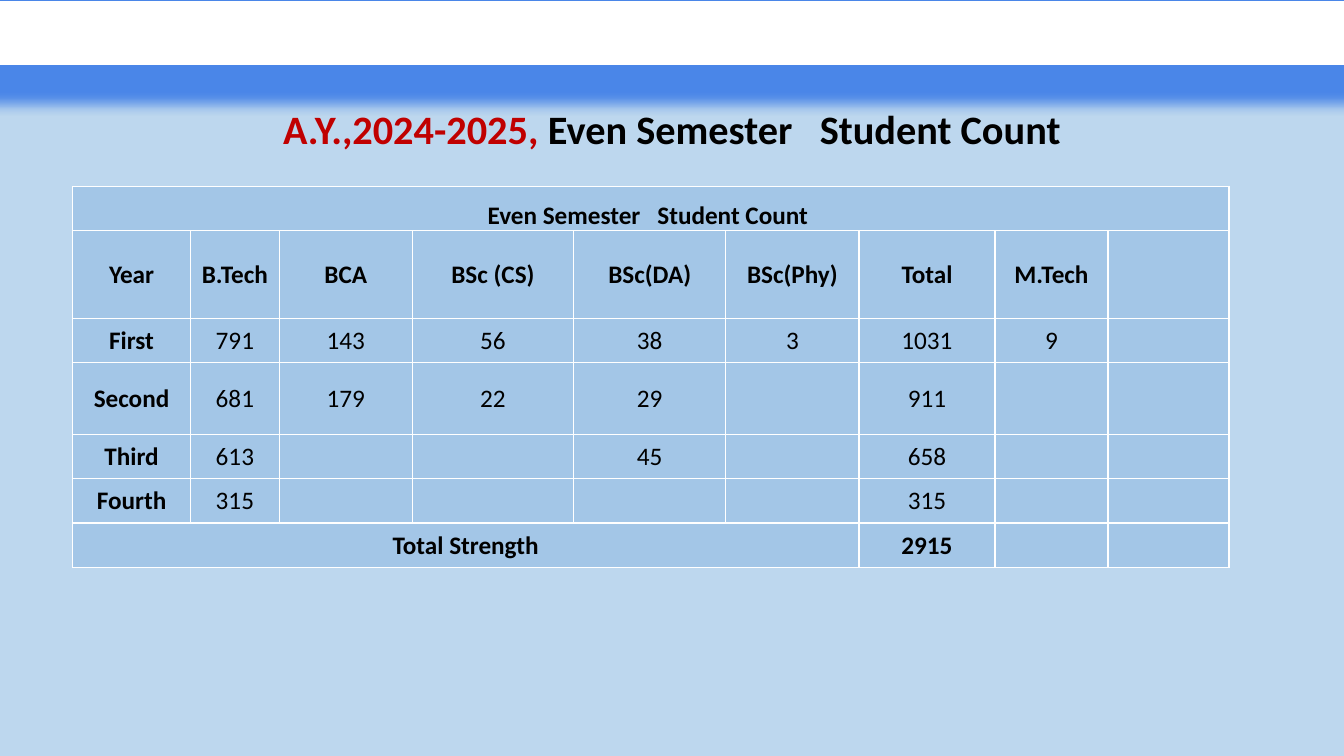
from pptx import Presentation
from pptx.dml.color import RGBColor
from pptx.enum.shapes import MSO_SHAPE
from pptx.enum.text import MSO_ANCHOR, MSO_AUTO_SIZE, PP_ALIGN
from pptx.oxml.ns import qn
from pptx.util import Inches, Pt
from lxml.etree import SubElement

WIDTH, HEIGHT = 13.33, 7.5
SKY, CELL_BLUE, GLOW_BLUE = "BDD7EE", "9DC3E6", "4A86E8"
WHITE, BLACK, RED = "FFFFFF", "000000", "C00000"

COLUMN_WIDTHS = [1.17, 0.88, 1.32, 1.6, 1.51, 1.32, 1.35, 1.12, 1.2]
ROW_HEIGHTS = [0.44, 0.87, 0.44, 0.71, 0.44, 0.44, 0.44]
COUNTS = [
    ["Even Semester   Student Count\u00a0"] + [""] * 8,
    ["Year", "B.Tech", "BCA", "BSc (CS)", "BSc(DA)", "BSc(Phy)", "Total", "M.Tech", ""],
    ["First", "791", "143", "56", "38", "3", "1031", "9", ""],
    ["Second", "681", "179", "22", "29", "", "911", "", ""],
    ["Third", "613", "", "", "45", "", "658", "", ""],
    ["Fourth", "315", "", "", "", "", "315", "", ""],
    ["Total Strength", "", "", "", "", "", "2915", "", ""],
]


def colour(hex_code):
    return RGBColor.from_string(hex_code)


def write(paragraph, text, size=18, hex_code=BLACK, bold=False):
    paragraph.alignment = PP_ALIGN.CENTER
    run = paragraph.add_run()
    run.text = text
    run.font.name = "Calibri"
    run.font.size = Pt(size)
    run.font.bold = bold
    run.font.color.rgb = colour(hex_code)


def add_heading(slide):
    heading = slide.shapes.title
    heading.left, heading.top = Inches(0.1), Inches(1)
    heading.width, heading.height = Inches(WIDTH - 0.2), Inches(0.61)
    frame = heading.text_frame
    frame.auto_size = MSO_AUTO_SIZE.NONE
    frame.word_wrap = True
    frame.vertical_anchor = MSO_ANCHOR.MIDDLE
    line = frame.paragraphs[0]
    line.line_spacing = 0.9
    write(line, "A.Y.,2024-2025, ", size=28.8, hex_code=RED, bold=True)
    write(line, "Even Semester   Student Count", size=28.8, bold=True)


def add_banner(slide):
    banner = slide.shapes.add_shape(MSO_SHAPE.RECTANGLE, 0, Inches(0.02),
                                    Inches(WIDTH), Inches(0.62))
    banner.fill.solid()
    banner.fill.fore_color.rgb = colour(WHITE)
    banner.line.color.rgb = colour(WHITE)
    banner.line.width = Pt(1)
    banner.shadow.inherit = False
    # Blue glow around the band
    effects = banner._element.spPr.find(qn("a:effectLst"))
    glow = SubElement(effects, qn("a:glow"), rad=str(Pt(18)))
    SubElement(glow, qn("a:srgbClr"), val=GLOW_BLUE)


def style_cell(cell):
    properties = cell._tc.get_or_add_tcPr()
    for side in ("lnL", "lnR", "lnT", "lnB"):
        border = SubElement(properties, qn(f"a:{side}"), w=str(Pt(1)))
        SubElement(SubElement(border, qn("a:solidFill")), qn("a:srgbClr"), val=WHITE)
    cell.fill.solid()
    cell.fill.fore_color.rgb = colour(CELL_BLUE)
    tint = properties.find(qn("a:solidFill")).find(qn("a:srgbClr"))
    SubElement(tint, qn("a:alpha"), val="81000")
    cell.margin_left = cell.margin_right = cell.margin_top = Inches(0.01)
    cell.margin_bottom = 0


def add_counts(slide):
    counts = slide.shapes.add_table(
        len(ROW_HEIGHTS), len(COLUMN_WIDTHS), Inches(0.72), Inches(1.85),
        Inches(sum(COLUMN_WIDTHS)), Inches(sum(ROW_HEIGHTS))).table
    counts.first_row = counts.horz_banding = False
    for column, width in zip(counts.columns, COLUMN_WIDTHS):
        column.width = Inches(width)
    for row, height in zip(counts.rows, ROW_HEIGHTS):
        row.height = Inches(height)

    last = len(COUNTS) - 1
    for r, values in enumerate(COUNTS):
        for c, value in enumerate(values):
            cell = counts.cell(r, c)
            style_cell(cell)
            cell.vertical_anchor = MSO_ANCHOR.BOTTOM if r == 0 else MSO_ANCHOR.MIDDLE
            if value:
                write(cell.text_frame.paragraphs[0], value,
                      bold=c == 0 or r in (0, 1, last))
    # Caption spans the table, the strength label spans up to Total
    counts.cell(0, 0).merge(counts.cell(0, 8))
    counts.cell(last, 0).merge(counts.cell(last, 5))


def main():
    deck = Presentation()
    deck.slide_width, deck.slide_height = Inches(WIDTH), Inches(HEIGHT)
    slide = deck.slides.add_slide(deck.slide_layouts[5])
    slide.background.fill.solid()
    slide.background.fill.fore_color.rgb = colour(SKY)
    add_heading(slide)
    add_banner(slide)
    add_counts(slide)
    deck.save("out.pptx")


if __name__ == "__main__":
    main()
